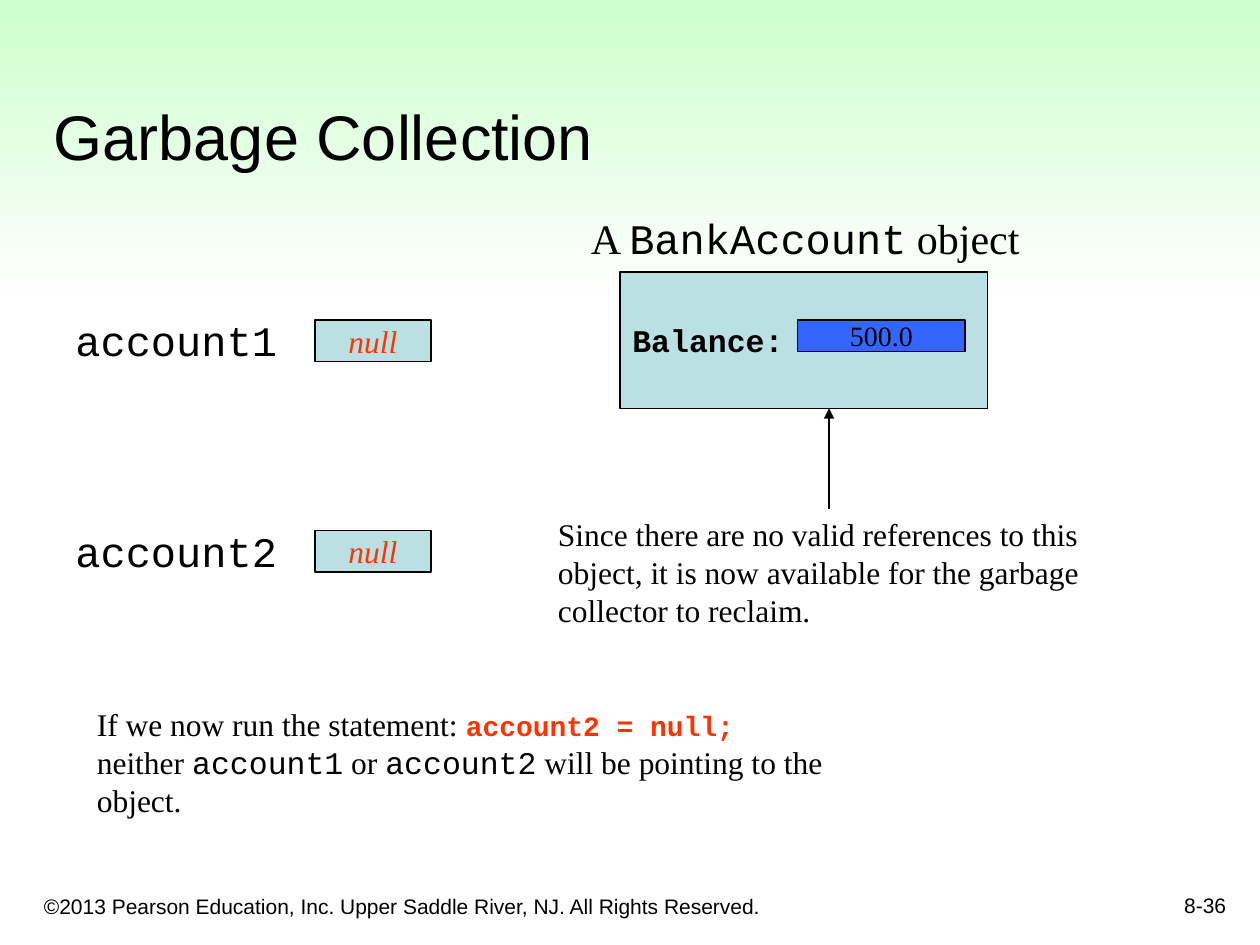
"""Build the Garbage Collection slide."""
import pptx
import pptx.dml.color
import pptx.enum.shapes
import pptx.enum.text
import pptx.oxml
import pptx.oxml.ns
import pptx.util
from pptx.util import Inches

SANS, SERIF, MONO = "Arial", "Times New Roman", "Courier New"
BLACK, RED, TEAL, BLUE = "000000", "FF3300", "BBE0E3", "3366FF"
ALIGN = pptx.enum.text.PP_ALIGN
ANCHOR = pptx.enum.text.MSO_ANCHOR
RECTANGLE = pptx.enum.shapes.MSO_SHAPE.RECTANGLE


def color(value):
    return pptx.dml.color.RGBColor.from_string(value)


def add_box(s, at, lines, fill=None, align=ALIGN.LEFT, anchor=ANCHOR.TOP, wrap=True):
    """Add a text box, or a filled rectangle, from lines of (text, font, size, colour, style) runs."""
    at = [Inches(v) for v in at]
    if fill:
        sp = s.shapes.add_shape(RECTANGLE, *at)
        sp.shadow.inherit = False
        sp.fill.solid()
        sp.fill.fore_color.rgb = color(fill)
        sp.line.color.rgb = color(BLACK)
        sp.line.width = pptx.util.Pt(0.75)
    else:
        sp = s.shapes.add_textbox(*at)
    tf = sp.text_frame
    tf.word_wrap = wrap
    tf.vertical_anchor = anchor
    for i, runs in enumerate(lines):
        p = tf.add_paragraph() if i else tf.paragraphs[0]
        p.alignment = align
        for text, font, size, ink, style in runs:
            r = p.add_run()
            r.text = text
            r.font.name = font
            r.font.size = pptx.util.Pt(size)
            r.font.color.rgb = color(ink)
            r.font.bold = style == "bold"
            r.font.italic = style == "italic"
    return sp


prs = pptx.Presentation()
prs.slide_width, prs.slide_height = Inches(10), Inches(7.5)
s = prs.slides.add_slide(prs.slide_layouts[6])

band = s.shapes.add_shape(RECTANGLE, 0, 0, Inches(10), Inches(2.32))
band.shadow.inherit = False
band.line.fill.background()
band.fill.gradient()
band.fill.gradient_angle = 270
for stop, value in zip(band.fill.gradient_stops, ("CCFFCC", "FEFEFE")):
    stop.color.rgb = color(value)

copyright_line = "©2013 Pearson Education, Inc. Upper Saddle River, NJ. All Rights Reserved."
add_box(s, (0.25, 6.92, 6.08, 0.42), [[(copyright_line, SANS, 12, BLACK, "")]], anchor=ANCHOR.BOTTOM)
add_box(s, (7.75, 6.83, 2.08, 0.5), [[("8-36", SANS, 12, BLACK, "")]],
        align=ALIGN.RIGHT, anchor=ANCHOR.BOTTOM)
add_box(s, (0.33, 0.33, 9.42, 1.09), [[("Garbage Collection", SANS, 36, BLACK, "")]],
        anchor=ANCHOR.BOTTOM)

add_box(s, (0.67, 5.55, 6.69, 0.7), [
    [("If we now run the statement: ", SERIF, 18, BLACK, ""),
     ("account2 = null;", MONO, 16, RED, "bold")],
    [("neither ", SERIF, 18, BLACK, ""),
     ("account1", MONO, 18, BLACK, ""),
     (" or ", SERIF, 18, BLACK, ""),
     ("account2", MONO, 18, BLACK, ""),
     (" will be pointing to the object.", SERIF, 18, BLACK, "")],
], wrap=False)

for name, top in (("account1", 2.45), ("account2", 4.12)):
    add_box(s, (0.5, top, 1.83, 0.5), [[(name, MONO, 24, BLACK, "")]])
    add_box(s, (2.5, top + 0.09, 0.92, 0.33), [[("null", SERIF, 18, RED, "italic")]],
            fill=TEAL, align=ALIGN.CENTER, anchor=ANCHOR.MIDDLE, wrap=False)

add_box(s, (4.59, 1.64, 3.62, 0.5), [[
    ("A ", SERIF, 24, BLACK, ""),
    ("BankAccount", MONO, 24, BLACK, ""),
    (" object", SERIF, 24, BLACK, ""),
]], wrap=False)
add_box(s, (4.92, 2.16, 2.92, 1.08), [[("Balance:", MONO, 18, BLACK, "bold")]],
        fill=TEAL, anchor=ANCHOR.MIDDLE)
add_box(s, (6.33, 2.54, 1.33, 0.25), [[("500.0", SERIF, 16, BLACK, "")]],
        fill=BLUE, align=ALIGN.CENTER, anchor=ANCHOR.MIDDLE, wrap=False)

reclaim_lines = (
    "Since there are no valid references to this",
    "object, it is now available for the garbage",
    "collector to reclaim.",
)
note = add_box(s, (4.33, 4.04, 4.5, 1), [[(text, SERIF, 18, BLACK, "")] for text in reclaim_lines])

arrow = s.shapes.add_connector(pptx.enum.shapes.MSO_CONNECTOR.STRAIGHT,
                               Inches(6.58), Inches(4.04), Inches(6.58), Inches(3.24))
arrow.begin_connect(note, 0)
arrow.line.color.rgb = color(BLACK)
arrow.line.width = pptx.util.Pt(0.75)
ns = pptx.oxml.ns.nsdecls("a")
arrow.line._get_or_add_ln().append(pptx.oxml.parse_xml(f'<a:tailEnd {ns} type="triangle"/>'))
arrow._element.spPr.append(pptx.oxml.parse_xml(f"<a:effectLst {ns}/>"))

prs.save("out.pptx")
